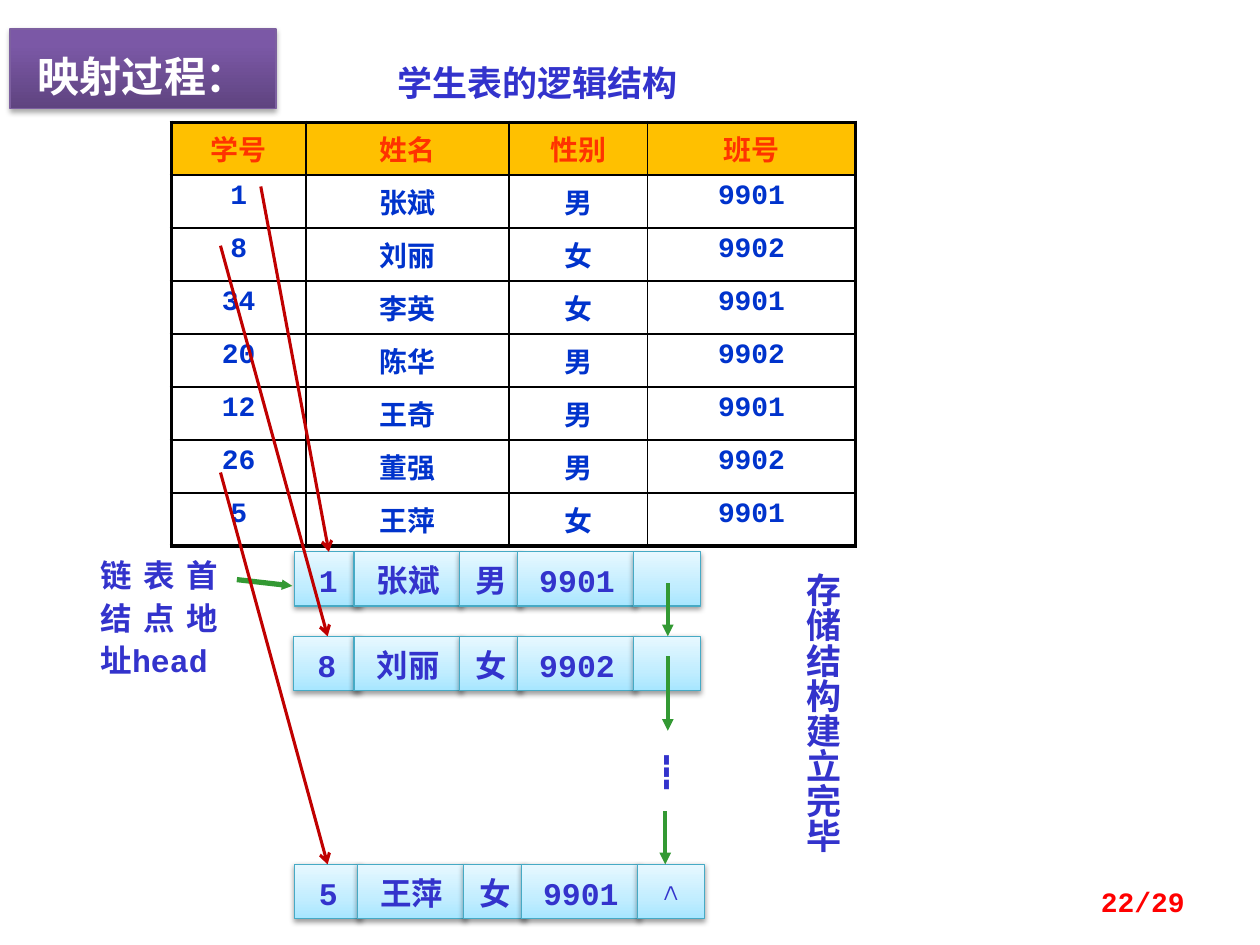
from lxml.etree import SubElement
from pptx import Presentation
from pptx.dml.color import RGBColor
from pptx.enum.shapes import MSO_CONNECTOR, MSO_SHAPE
from pptx.enum.text import MSO_ANCHOR, MSO_AUTO_SIZE, PP_ALIGN
from pptx.oxml import parse_xml
from pptx.oxml.ns import nsdecls, qn
from pptx.util import Inches, Pt

COLORS = {
    "blue": "3333CC", "cell": "0033CC", "head": "FF3300", "gold": "FFC000",
    "black": "000000", "white": "FFFFFF", "red": "FF0000", "green": "339933",
    "map": "C00000", "node_line": "46AAC5", "title_line": "7D60A0",
}
NODE_STOPS = [(0, "A7E6FF"), (35, "C1EDFF"), (100, "E7F8FF")]
TITLE_STOPS = [(0, "5F4480"), (80, "7B58A6"), (100, "7C57A8")]
STUDENTS = [
    ("学号", "姓名", "性别", "班号"),
    ("1", "张斌", "男", "9901"),
    ("8", "刘丽", "女", "9902"),
    ("34", "李英", "女", "9901"),
    ("20", "陈华", "男", "9902"),
    ("12", "王奇", "男", "9901"),
    ("26", "董强", "男", "9902"),
    ("5", "王萍", "女", "9901"),
]


def rgb(name):
    """Return the named colour."""
    return RGBColor.from_string(COLORS[name])


def write(tf, text, size, color, align=PP_ALIGN.CENTER, spacing=None, before=None):
    """Set and format one paragraph; before is a percentage of the line."""
    tf.text = text
    p = tf.paragraphs[0]
    p.alignment = align
    if spacing:
        p.line_spacing = spacing
    if before:
        p.space_before = Pt(0)
        spc = p._p.pPr.find(qn("a:spcBef"))
        spc.remove(spc[0])
        SubElement(spc, qn("a:spcPct"), val=str(before * 1000))
    for r in p.runs:
        r.font.name, r.font.size, r.font.bold = "Courier New", Pt(size), True
        r.font.color.rgb = rgb(color)
    return p


def set_insets(tf, left, top, right, bottom):
    """Set the four text margins in inches."""
    tf.margin_left, tf.margin_top = Inches(left), Inches(top)
    tf.margin_right, tf.margin_bottom = Inches(right), Inches(bottom)


def style_panel(sp, stops, line, alpha):
    """Give a shape a vertical gradient, a thin outline and a soft shadow."""
    sp.line.color.rgb = rgb(line)
    sp.line.width = Pt(0.75)
    gs = "".join(f'<a:gs pos="{pos * 1000}"><a:srgbClr val="{c}"/></a:gs>' for pos, c in stops)
    sp._element.spPr.find(qn("a:ln")).addprevious(parse_xml(
        f'<a:gradFill {nsdecls("a")} rotWithShape="1"><a:gsLst>{gs}</a:gsLst>'
        '<a:lin ang="16200000" scaled="0"/></a:gradFill>'))
    sp._element.spPr.append(parse_xml(
        f'<a:effectLst {nsdecls("a")}><a:outerShdw blurRad="39370" dist="20320" '
        f'dir="5400000" rotWithShape="0"><a:srgbClr val="{COLORS["black"]}">'
        f'<a:alpha val="{alpha * 1000}"/></a:srgbClr></a:outerShdw></a:effectLst>'))


def add_arrow(shapes, x1, y1, x2, y2, color="green", width=2.25, tail="triangle", head="med"):
    """Draw an arrow between two points."""
    cx = shapes.add_connector(
        MSO_CONNECTOR.STRAIGHT, Inches(x1), Inches(y1), Inches(x2), Inches(y2))
    cx.line.color.rgb = rgb(color)
    cx.line.width = Pt(width)
    SubElement(cx.line._get_or_add_ln(), qn("a:tailEnd"), type=tail, w=head, len=head)
    SubElement(cx._element.spPr, qn("a:effectLst"))


def add_label(s, x, y, w, h, text, size, color="blue", **fmt):
    """Add a wrapped text box and return its text frame."""
    tf = s.shapes.add_textbox(Inches(x), Inches(y), Inches(w), Inches(h)).text_frame
    tf.word_wrap = True
    write(tf, text, size, color, **fmt)
    return tf


def add_title(s, x, y, w, h, text):
    """Place the slide title as a gradient panel."""
    sp = s.shapes.title
    sp.left, sp.top, sp.width, sp.height = map(Inches, (x, y, w, h))
    style_panel(sp, TITLE_STOPS, "title_line", 35)
    tf = sp.text_frame
    tf.vertical_anchor = MSO_ANCHOR.TOP
    tf.auto_size = MSO_AUTO_SIZE.NONE
    write(tf, text, 24, "white", spacing=1.3, before=50)


def add_border(cell, widths):
    """Draw the left, right, top and bottom borders of a cell."""
    tcPr = cell._tc.get_or_add_tcPr()
    for i, (side, width) in enumerate(zip("LRTB", widths)):
        tcPr.insert(i, parse_xml(
            f'<a:ln{side} {nsdecls("a")} w="{Pt(width)}"><a:solidFill>'
            f'<a:srgbClr val="{COLORS["black"]}"/></a:solidFill></a:ln{side}>'))


def add_student_table(s, x, y, widths, row_h, rows):
    """Add the student table with a heavy outer border."""
    last_row, last_col = len(rows) - 1, len(widths) - 1
    tbl = s.shapes.add_table(
        len(rows), len(widths), Inches(x), Inches(y),
        Inches(sum(widths)), Inches(row_h * len(rows))).table
    tbl.first_row = tbl.horz_banding = False
    for col, w in zip(tbl.columns, widths):
        col.width = Inches(w)
    for i, row in enumerate(rows):
        tbl.rows[i].height = Inches(row_h)
        for j, text in enumerate(row):
            cell = tbl.cell(i, j)
            if i == 0:
                cell.fill.solid()
                cell.fill.fore_color.rgb = rgb("gold")
            else:
                cell.fill.background()
            write(cell.text_frame, text, 16, "cell" if i else "head", before=20)
            outer = (j == 0, j == last_col, i == 0, i == last_row)
            add_border(cell, [2.25 if edge else 1 for edge in outer])


def add_node(s, key_x, x, y, values, link=""):
    """Add one list node: a key cell, three data cells and a link cell."""
    g = s.shapes.add_group_shape()
    lefts = [key_x] + [x + dx for dx in (0, 0.84, 1.3, 2.22)]
    for left, w, text in zip(lefts, (0.53, 0.86, 0.5, 0.94, 0.53), (*values, link)):
        sp = g.shapes.add_shape(
            MSO_SHAPE.RECTANGLE, Inches(left), Inches(y), Inches(w), Inches(0.43))
        style_panel(sp, NODE_STOPS, "node_line", 38)
        if text:
            tf = sp.text_frame
            tf.vertical_anchor = MSO_ANCHOR.TOP
            set_insets(tf, 0.1, 0.04, 0.1, 0)
            write(tf, text, 18, "blue", spacing=None if text == link else 1.12)


def add_linked_list(s):
    """Add the stored nodes, their links and the head pointer."""
    add_node(s, 2.34, 2.81, 4.38, STUDENTS[1])
    add_node(s, 2.33, 2.81, 5.05, STUDENTS[2])
    add_node(s, 2.34, 2.84, 6.86, STUDENTS[-1], "∧")
    for x, y1, y2 in ((5.3, 4.63, 5.05), (5.3, 5.21, 5.8), (5.28, 6.44, 6.86)):
        add_arrow(s.shapes, x, y1, x, y2)
    tf = add_label(s, 0.7, 4.38, 1.13, 1.01, "链表首结点地址head", 18,
                   align=PP_ALIGN.JUSTIFY, spacing=1.12)
    set_insets(tf, 0.1, 0, 0.1, 0)
    add_arrow(s.shapes, 1.88, 4.6, 2.32, 4.65, width=3, head="sm")
    tf = add_label(s, 4.98, 5.95, 0.62, 0.33, "┇", 18, spacing=0.8, before=50)
    set_insets(tf, 0.1, 0.08, 0.1, 0)
    pPr = tf.paragraphs[0]._p.pPr
    pPr.set("marL", str(Inches(0.5)))
    pPr.set("indent", str(-Inches(0.5)))


def build():
    """Build the slide and save it."""
    prs = Presentation()
    prs.slide_width, prs.slide_height = Inches(10), Inches(7.5)
    s = prs.slides.add_slide(prs.slide_layouts[5])
    add_title(s, 0.08, 0.23, 2.11, 0.63, "映射过程：")
    add_student_table(s, 1.36, 0.97, (1.07, 1.61, 1.1, 1.65), 0.42, STUDENTS)
    add_linked_list(s)
    add_label(s, 2.86, 0.34, 2.81, 0.54, "学生表的逻辑结构", 20, spacing=1.3, before=50)
    tf = add_label(s, 6.21, 4.45, 0.47, 2.58, "存储结构建立完毕", 20, spacing=0.8, before=50)
    tf._txBody.bodyPr.set("vert", "eaVert")
    for x1, y1, x2, y2 in ((2.07, 1.48, 2.61, 4.38), (1.75, 1.95, 2.6, 5.05),
                           (1.75, 3.75, 2.6, 6.86)):
        add_arrow(s.shapes, x1, y1, x2, y2, "map", 1.75, "arrow")
    tf = add_label(s, 7.17, 6.95, 2.33, 0.4, "22/29", 16, "red", align=PP_ALIGN.RIGHT)
    tf.vertical_anchor = MSO_ANCHOR.MIDDLE
    prs.save("out.pptx")


build()
